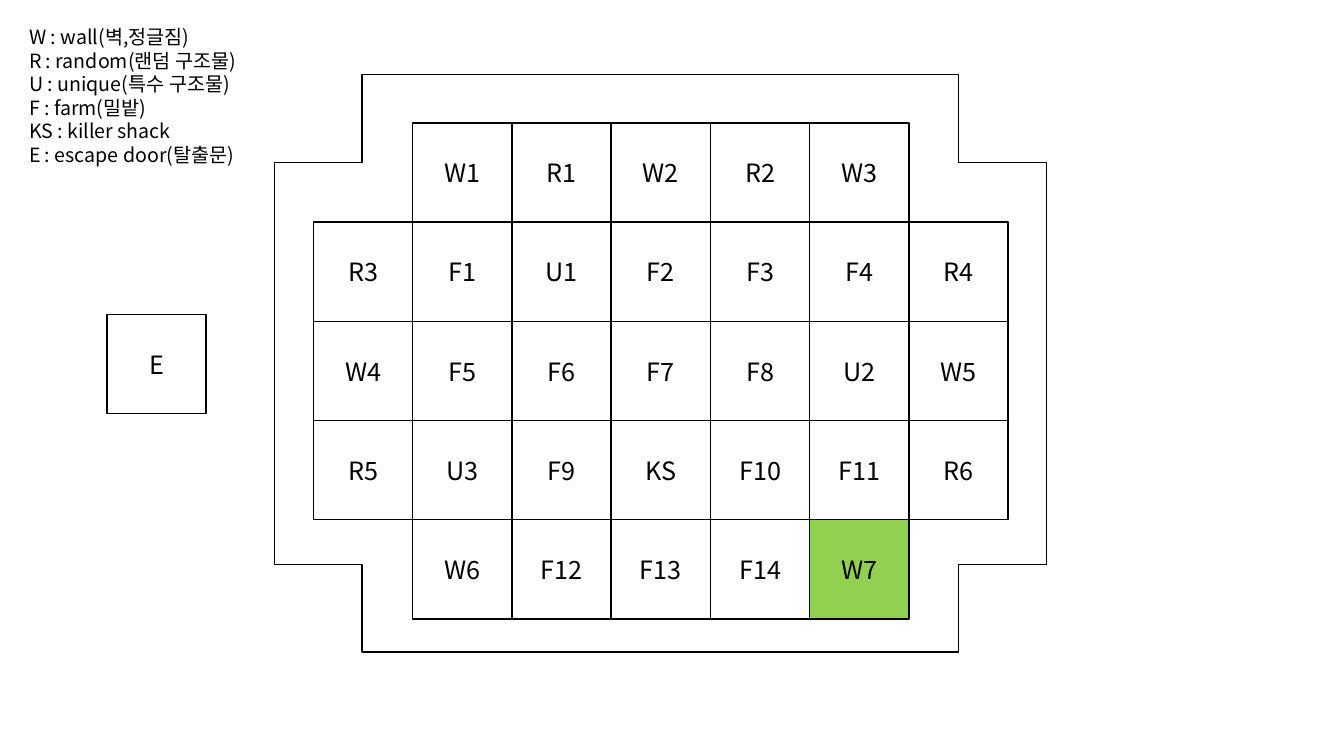
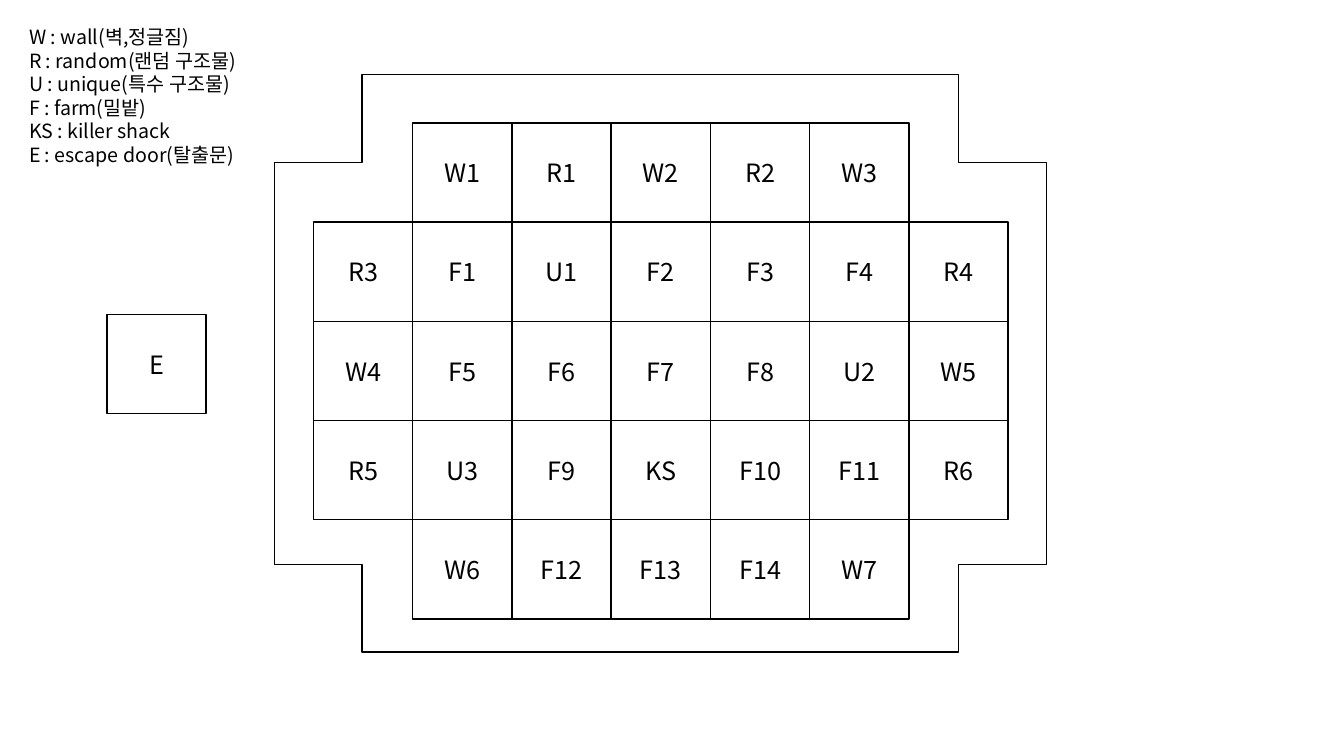
from lxml.etree import SubElement as Sub
from pptx import Presentation
from pptx.dml.color import RGBColor
from pptx.enum.shapes import MSO_SHAPE as Kind
from pptx.enum.text import MSO_ANCHOR as Anchor, MSO_AUTO_SIZE as Auto, PP_ALIGN as Align
from pptx.oxml.ns import qn
from pptx.util import Inches, Pt

FACE = "Noto Sans CJK KR"
BLACK = "000000"
GREEN = "92D050"
SIDE = 2.5 / 2.54
KEY = [
    "W : wall(벽,정글짐)",
    "R : random(랜덤 구조물)",
    "U : unique(특수 구조물)",
    "F : farm(밀밭)",
    "KS : killer shack\vE : escape door(탈출문)",
]
ROWS = [
    ["W1", "R1", "W2", "R2", "W3"],
    ["R3", "F1", "U1", "F2", "F3", "F4", "R4"],
    ["W4", "F5", "F6", "F7", "F8", "U2", "W5"],
    ["R5", "U3", "F9", "KS", "F10", "F11", "R6"],
    ["W6", "F12", "F13", "F14", "W7"],
]
WIDE = max(len(row) for row in ROWS)


def color(code):
    return RGBColor.from_string(code)


def style(para, size):
    looks = {"name": FACE, "size": Pt(size)}
    for run in para.runs:
        for name, value in looks.items():
            setattr(run.font, name, value)
        run.font.color.rgb = color(BLACK)
        Sub(run.font._element, qn("a:ea"), typeface=FACE)


def outline(slide, kind, box, fill=None):
    shape = slide.shapes.add_shape(kind, *map(Inches, box))
    shape.shadow.inherit = False
    if fill:
        shape.fill.solid()
        shape.fill.fore_color.rgb = color(fill)
    else:
        shape.fill.background()
    shape.line.color.rgb = color(BLACK)
    shape.line.width = Pt(1)
    return shape


def tile(slide, left, top, label, fill=None):
    shape = outline(slide, Kind.RECTANGLE, (left, top, SIDE, SIDE), fill)
    frame = shape.text_frame
    frame.vertical_anchor = Anchor.MIDDLE
    para = frame.paragraphs[0]
    para.text = label
    para.alignment = Align.CENTER
    style(para, 18)


def border(slide, box):
    outline(slide, Kind.CROSS, box).adjustments[0] = 0.152


def legend(slide, box):
    frame = slide.shapes.add_textbox(*map(Inches, box)).text_frame
    looks = {"word_wrap": True, "auto_size": Auto.SHAPE_TO_FIT_TEXT}
    for name, value in looks.items():
        setattr(frame, name, value)
    for i, line in enumerate(KEY):
        para = frame.add_paragraph() if i else frame.paragraphs[0]
        para.text = line
        style(para, 14)


def grid(slide, left, top, marks):
    for r, row in enumerate(ROWS):
        start = (WIDE - len(row)) / 2
        for c, label in enumerate(row):
            x = left + (start + c) * SIDE
            tile(slide, x, top + r * SIDE, label, marks.get(label))


def board(deck, marks):
    slide = deck.slides.add_slide(deck.slide_layouts[6])
    border(slide, (2.72, 0.74, 7.66, 5.73))
    legend(slide, (0.19, 0.2, 2.34, 1.51))
    grid(slide, 3.11, 1.22, marks)
    tile(slide, 1.06, 3.12, "E")


def main():
    deck = Presentation()
    deck.slide_width = Inches(13.33)
    deck.slide_height = Inches(7.5)
    for marks in ({"W7": GREEN}, {}):
        board(deck, marks)
    deck.save("out.pptx")


if __name__ == "__main__":
    main()
